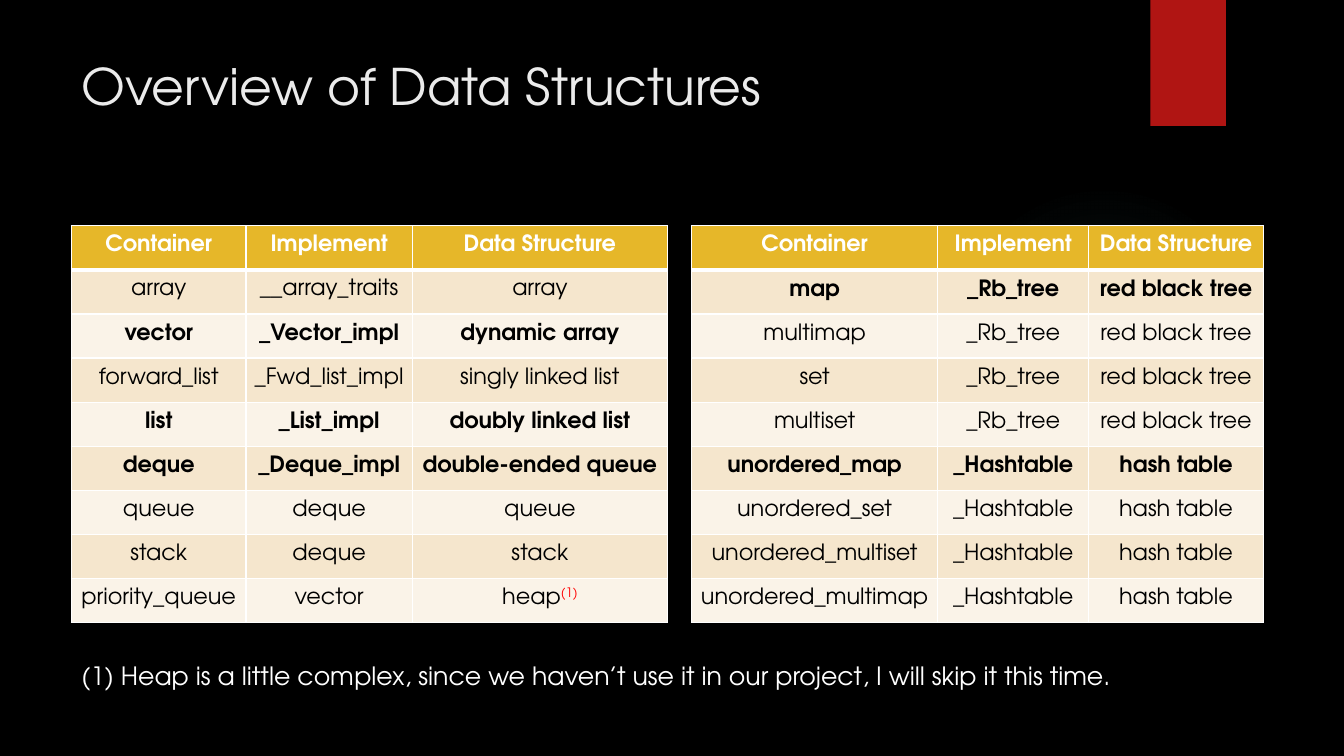
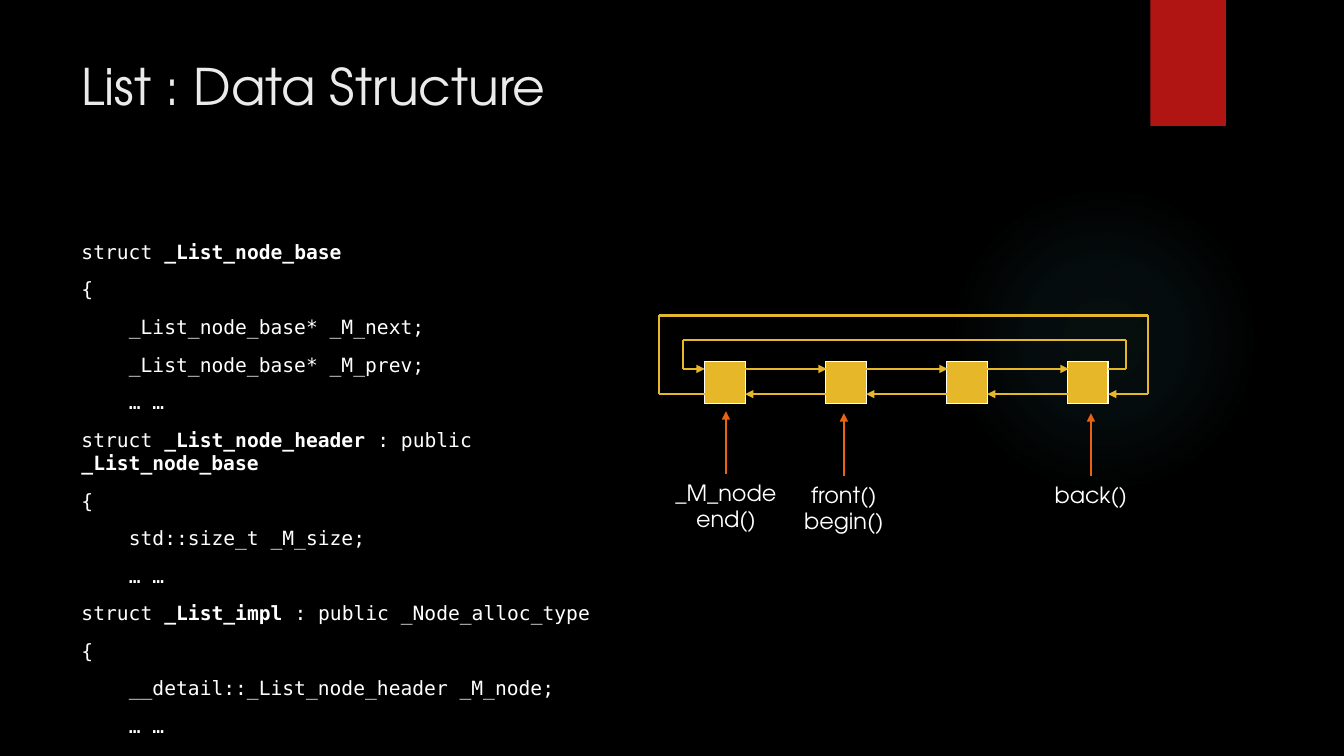
from itertools import pairwise
from lxml.etree import SubElement
from pptx import Presentation
from pptx.dml.color import RGBColor
from pptx.enum.shapes import MSO_CONNECTOR as Conn, MSO_SHAPE as Shape
from pptx.enum.text import MSO_AUTO_SIZE as Auto, MSO_ANCHOR as Anchor, PP_ALIGN as Align
from pptx.oxml import parse_xml
from pptx.oxml.ns import nsdecls, qn
from pptx.util import Inches, Pt

SANS, MONO = "TeX Gyre Adventor", "DejaVu Sans Mono"
BLACK, WHITE, PALE, RED = "000000", "FFFFFF", "EBEBEB", "B01513"
GOLD, SAND, CREAM, ORANGE = "E6B729", "F5E6CD", "FAF3E8", "EA6312"
GLOW, MARK = "50B9C1", "FF0000"
NO_STYLE = "{2D5ABB26-0587-4C30-8999-92F81FD0307C}"

HEAD = ("Container", "Implement", "Data Structure")
LINEAR = [
    HEAD,
    ("array", "__array_traits", "array"),
    ("vector", "_Vector_impl", "dynamic array"),
    ("forward_list", "_Fwd_list_impl", "singly linked list"),
    ("list", "_List_impl", "doubly linked list"),
    ("deque", "_Deque_impl", "double-ended queue"),
    ("queue", "deque", "queue"),
    ("stack", "deque", "stack"),
    ("priority_queue", "vector", "heap"),
]
TREE = ("_Rb_tree", "red black tree")
HASH = ("_Hashtable", "hash table")
KEYED = [HEAD]
KEYED += [(name, *TREE) for name in ("map", "multimap", "set", "multiset")]
KEYED += [("unordered_" + name, *HASH) for name in ("map", "set", "multiset", "multimap")]
BOLD = {"Container", "vector", "list", "deque", "map", "unordered_map"}
TABLES = [(0.71, (1.73, 1.65, 2.53), LINEAR), (6.86, (2.44, 1.5, 1.73), KEYED)]
NOTE = "(1) Heap is a little complex, since we haven’t use it in our project, I will skip it this time. "

CODE = [
    (0, "struct |_List_node_base"),
    (0, "{"),
    (1, "_List_node_base* _M_next;"),
    (1, "_List_node_base* _M_prev;"),
    (1, "… …"),
    (0, "struct |_List_node_header| : public |_List_node_base"),
    (0, "{"),
    (1, "std::size_t _M_size;"),
    (1, "… …"),
    (0, "struct |_List_impl |: public _Node_alloc_type"),
    (0, "{"),
    (1, "__detail::_List_node_header _M_node;"),
    (1, "… …"),
]
LABELS = [
    (7.2, 4.7, 1.22, "_M_node\nend()"),
    (8.37, 4.72, 1, "front()\nbegin()"),
    (10.82, 4.72, 0.93, "back()"),
]
LEFT, RIGHT, NEXT, PREV = 6.99, 10.99, 3.66, 3.91
SIDE, GAP, COUNT = 0.4, 0.81, 4
LOOPS = [
    [(RIGHT, NEXT), (11.17, NEXT), (11.17, 3.37), (6.77, 3.37), (6.77, NEXT), (LEFT, NEXT)],
    [(LEFT, PREV), (6.54, PREV), (6.54, 3.13), (11.39, 3.13), (11.39, PREV), (RIGHT, PREV)],
]


def color(code):
    return RGBColor.from_string(code)


def style(run, size, code, face=SANS, bold=False):
    font = run.font
    font.name, font.size, font.bold = face, Pt(size), bold
    font.color.rgb = color(code)


def block(slide, kind, box, code):
    shape = slide.shapes.add_shape(kind, *map(Inches, box))
    shape.shadow.inherit = False
    shape.fill.solid()
    shape.fill.fore_color.rgb = color(code)
    shape.line.fill.background()
    return shape


def text(slide, box, words, size, code=WHITE, align=Align.LEFT, wrap=False):
    frame = slide.shapes.add_textbox(*map(Inches, box)).text_frame
    frame.text = words
    frame.word_wrap = wrap
    frame.auto_size = Auto.NONE if wrap else Auto.SHAPE_TO_FIT_TEXT
    for para in frame.paragraphs:
        para.alignment = align
        for run in para.runs:
            style(run, size, code)


def glow(slide):
    shape = block(slide, Shape.OVAL, (9.41, 1.83, 3.08, 3.08), GLOW)
    stops = "".join(
        f'<a:gs pos="{pos}000"><a:srgbClr val="{GLOW}"><a:alpha val="{alpha}000"/></a:srgbClr></a:gs>'
        for pos, alpha in ((0, 7), (36, 6), (69, 0)))
    fill = parse_xml(
        f'<a:gradFill {nsdecls("a")}><a:gsLst>{stops}</a:gsLst><a:path path="circle">'
        '<a:fillToRect l="50000" t="50000" r="50000" b="50000"/></a:path></a:gradFill>')
    props = shape.element.spPr
    props.replace(props.find(qn("a:solidFill")), fill)


def page(deck, title):
    slide = deck.slides.add_slide(deck.slide_layouts[6])
    slide.background.fill.solid()
    slide.background.fill.fore_color.rgb = color(BLACK)
    glow(slide)
    block(slide, Shape.RECTANGLE, (11.41, 0, 0.75, 1.25), RED)
    text(slide, (0.71, 0.5, 10.29, 1.53), title, 36, PALE, wrap=True)
    return slide


def edges(cell, base=1):
    props = cell._tc.get_or_add_tcPr()
    for spot, (side, width) in enumerate(zip("LRTB", (1, 1, 1, base))):
        props.insert(spot, parse_xml(
            f'<a:ln{side} {nsdecls("a")} w="{Pt(width)}"><a:solidFill>'
            f'<a:srgbClr val="{WHITE}"/></a:solidFill></a:ln{side}>'))


def paint(cell, code, base=1):
    cell.fill.solid()
    cell.fill.fore_color.rgb = color(code)
    edges(cell, base)


def grid(slide, left, top, cols, rows, high):
    size = map(Inches, (left, top, sum(cols), high))
    table = slide.shapes.add_table(rows, len(cols), *size).table
    table.first_row = table.horz_banding = False
    table._tbl.tblPr.find(qn("a:tableStyleId")).text = NO_STYLE
    for col, width in zip(table.columns, cols):
        col.width = Inches(width)
    return table


def listing(slide, left, cols, rows):
    table = grid(slide, left, 2.24, cols, len(rows), 3.94)
    for i, row in enumerate(rows):
        back = GOLD if i == 0 else SAND if i % 2 else CREAM
        for j, word in enumerate(row):
            cell = table.cell(i, j)
            paint(cell, back, 1 if i else 3)
            cell.margin_left = cell.margin_right = cell.margin_top = Inches(0.01)
            cell.margin_bottom = Inches(0.05)
            cell.vertical_anchor = Anchor.MIDDLE
            cell.text_frame.text = word
            para = cell.text_frame.paragraphs[0]
            para.alignment = Align.CENTER
            style(para.runs[0], 16, BLACK if i else WHITE, bold=row[0] in BOLD)
            if word == "heap":
                mark = para.add_run()
                mark.text = "(1)"
                style(mark, 16, MARK)
                mark.font._element.set("baseline", "30000")


def line(slide, start, end, code=GOLD, arrow=True):
    link = slide.shapes.add_connector(Conn.STRAIGHT, *map(Inches, (*start, *end)))
    link.line.color.rgb = color(code)
    link.line.width = Pt(1.5)
    if arrow:
        SubElement(link.line._get_or_add_ln(), qn("a:tailEnd"), type="triangle")
    SubElement(link.element.spPr, qn("a:effectLst"))


def source(slide):
    box = slide.shapes.add_textbox(*map(Inches, (0.71, 2.33, 5.51, 4.59)))
    frame = box.text_frame
    frame.word_wrap = True
    for i, (level, words) in enumerate(CODE):
        para = frame.add_paragraph() if i else frame.paragraphs[0]
        para.space_before = Pt(10)
        para._p.get_or_add_pPr().set("marL", str(Inches(0.47 * level)))
        for j, part in enumerate(words.split("|")):
            run = para.add_run()
            run.text = part
            style(run, 14, WHITE, MONO, j % 2 == 1)


def chain(slide):
    table = grid(slide, LEFT, 3.59, [SIDE] * (3 * COUNT - 2), 1, 0.41)
    for i, cell in enumerate(table.rows[0].cells):
        if i % 3 == 0:
            paint(cell, GOLD)
        else:
            cell.fill.background()
    for i in range(COUNT - 1):
        start = LEFT + SIDE + i * 3 * SIDE
        end = start + GAP
        line(slide, (start, NEXT), (end, NEXT))
        line(slide, (end, PREV), (start, PREV))
    for loop in LOOPS:
        for start, end in pairwise(loop):
            line(slide, start, end, arrow=end == loop[-1])
    for mid, top, width, words in LABELS:
        high = 0.37 + 0.27 * words.count("\n")
        text(slide, (mid - width / 2, top, width, high), words, 16, align=Align.CENTER)
        line(slide, (mid, top), (mid, top - 0.62), ORANGE)


deck = Presentation()
deck.slide_width, deck.slide_height = Inches(13.33), Inches(7.5)

slide = page(deck, "Overview of Data Structures")
for left, cols, rows in TABLES:
    listing(slide, left, cols, rows)
text(slide, (0.71, 6.5, 10.56, 0.4), NOTE, 18)

slide = page(deck, "List : Data Structure")
source(slide)
chain(slide)

deck.save("out.pptx")
